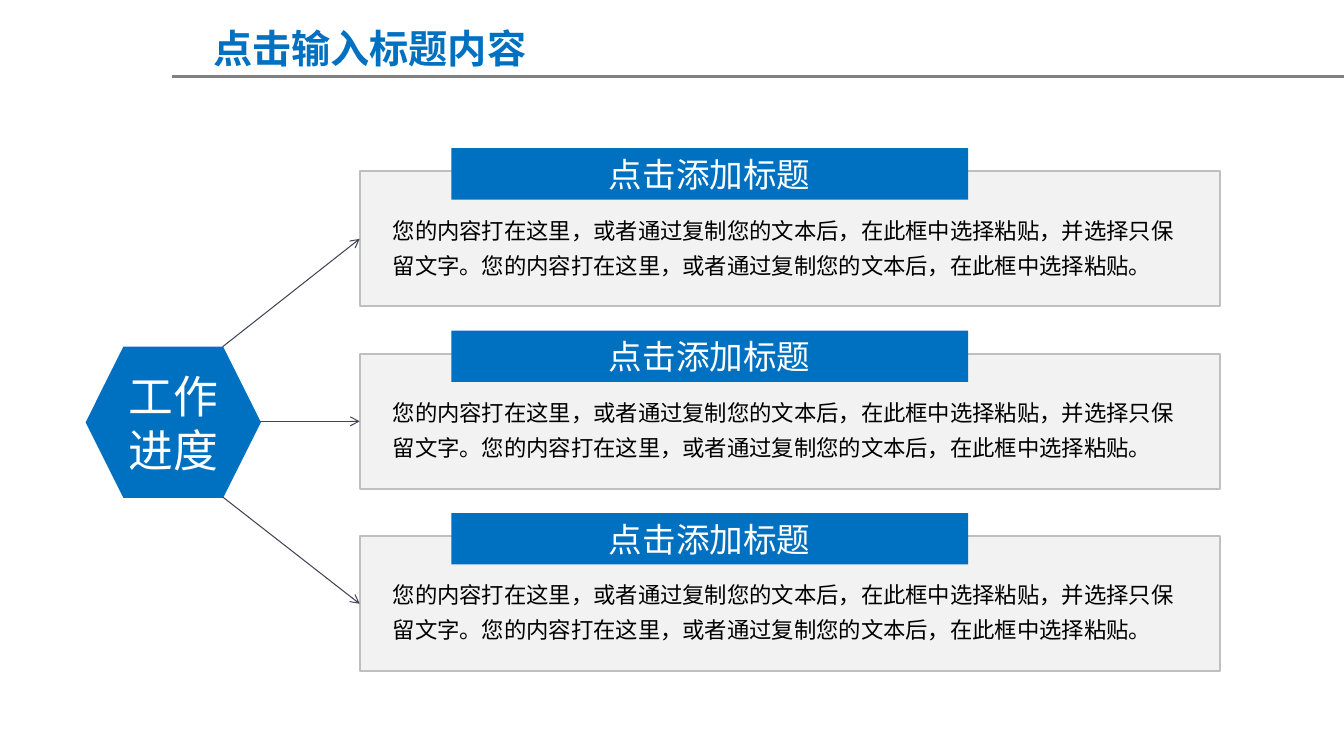
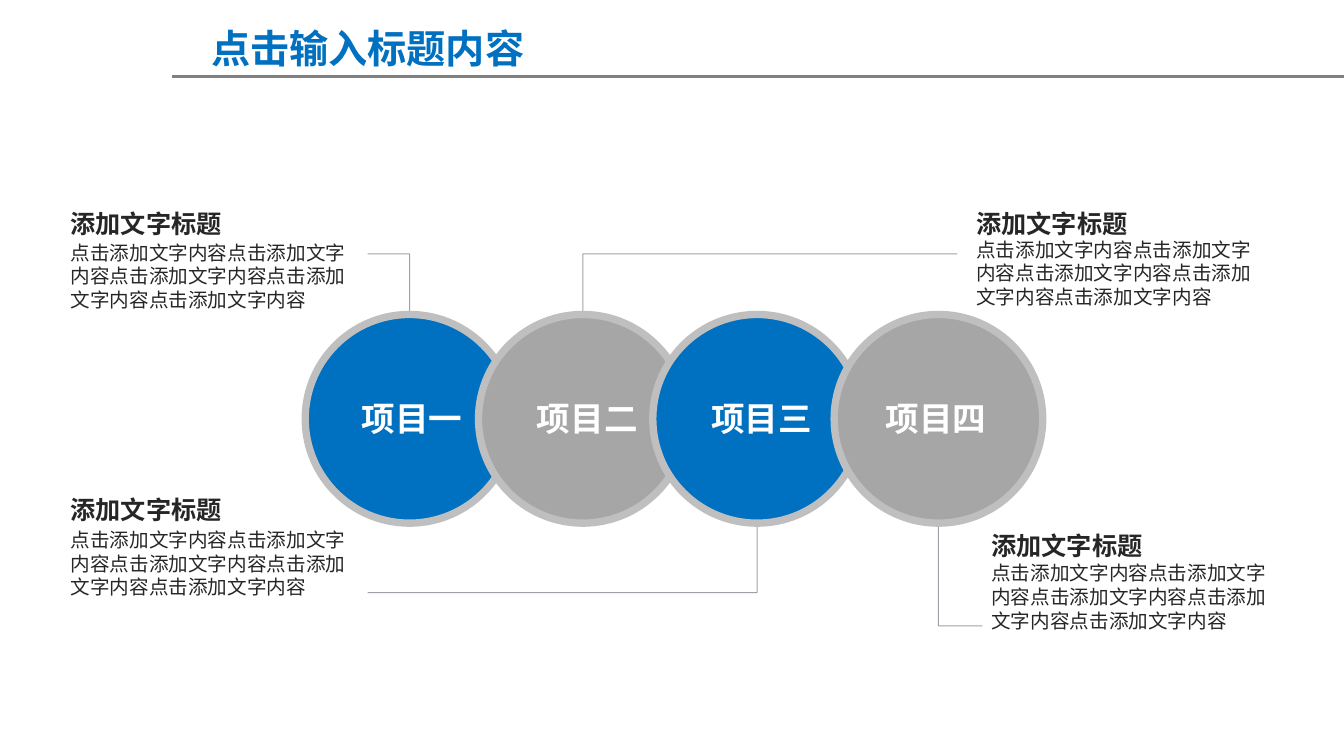
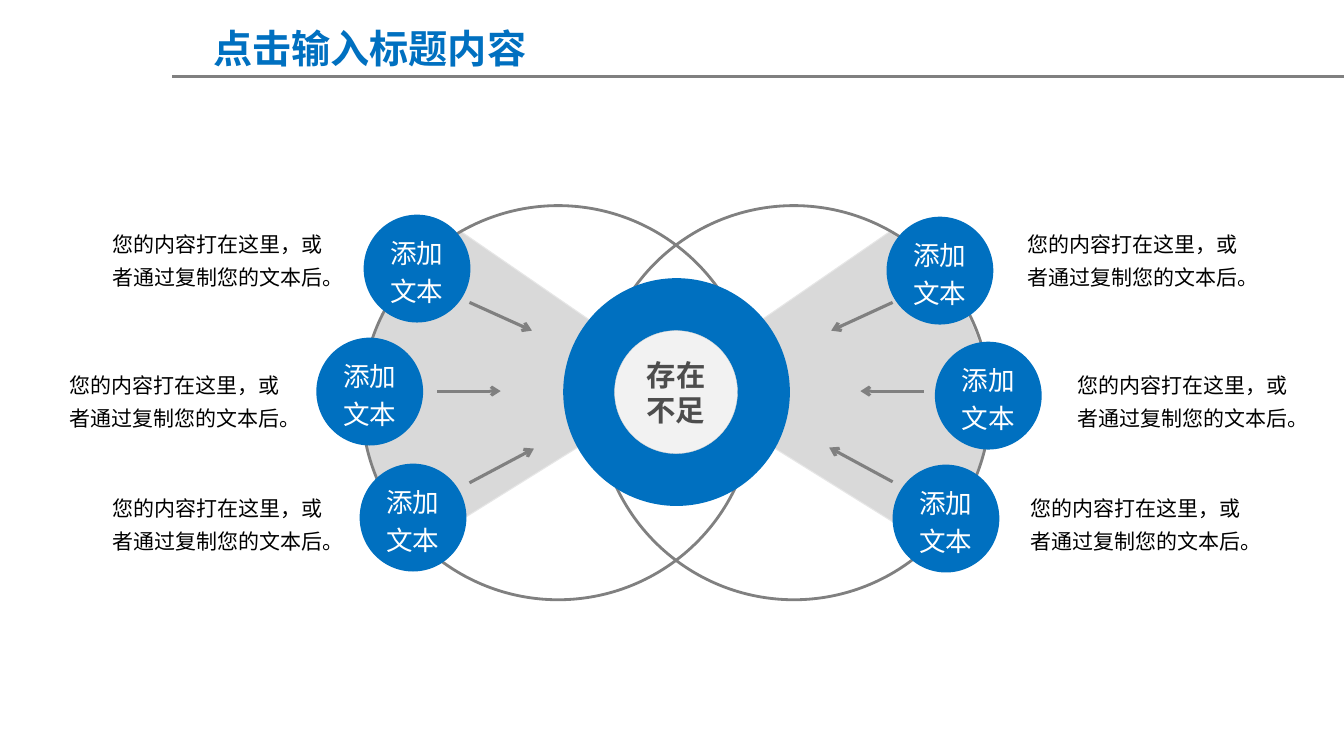
"""Builds three diagram slides: work progress, project chain and shortcomings."""
from lxml import etree
from pptx import Presentation
from pptx import util as u
from pptx.dml.color import RGBColor
from pptx.enum import shapes, text
from pptx.oxml.ns import qn

COLORS = {
    "blue": "0070C0", "white": "FFFFFF", "black": "000000", "ink": "262626",
    "label": "4D4D4D", "rule": "808080", "leader": "414455", "disc": "A6A6A6",
    "border": "BFBFBF", "panel": "F2F2F2", "fan": "D9D9D9", "fan_edge": "E6E6E6",
    "hub_edge": "D7D7D7",
}
CJK_FONT = "Noto Sans CJK SC"
LINE_HEIGHT = 1.2
SHAPE = shapes.MSO_SHAPE
CENTER = text.PP_ALIGN.CENTER
MIDDLE = text.MSO_ANCHOR.MIDDLE
HEADING = {"size": 18, "bold": True, "color": "ink", "spacing": 1.4}
CAPTION = {"size": 14, "color": "ink"}


def bezier(start, first, second, end, steps=12):
    points = []
    for step in range(1, steps + 1):
        t = step / steps
        weights = ((1 - t) ** 3, 3 * t * (1 - t) ** 2, 3 * t * t * (1 - t), t ** 3)
        points.append(tuple(
            sum(weight * point[axis] for weight, point in zip(weights, (start, first, second, end)))
            for axis in (0, 1)))
    return points


class Deck:
    def __init__(self):
        self.presentation = Presentation()
        self.presentation.slide_width = u.Inches(13.34)
        self.presentation.slide_height = u.Inches(7.5)
        self.slide = None

    def add_slide(self, title, title_left=1.87):
        self.slide = self.presentation.slides.add_slide(self.presentation.slide_layouts[6])
        self.line((1.71, 0.76), (13.34, 0.76), "rule", 2)
        self.text(title, (title_left, 0.19, 3.6, 0.57), size=28, bold=True,
                  color="blue", align=CENTER)

    def paint(self, shape, fill, line, width):
        shape.shadow.inherit = False
        if fill:
            shape.fill.solid()
            shape.fill.fore_color.rgb = RGBColor.from_string(COLORS[fill])
        else:
            shape.fill.background()
        if line:
            shape.line.color.rgb = RGBColor.from_string(COLORS[line])
            shape.line.width = u.Pt(width)
        else:
            shape.line.fill.background()

    def set_text(self, shape, content, size, color, bold=False, font=CJK_FONT,
                 align=None, anchor=text.MSO_ANCHOR.TOP, spacing=1, insets=(0.1, 0.05)):
        frame = shape.text_frame
        horizontal, vertical = (u.Inches(inset) for inset in insets)
        frame_format = {
            "word_wrap": True, "vertical_anchor": anchor,
            "margin_left": horizontal, "margin_right": horizontal,
            "margin_top": vertical, "margin_bottom": vertical,
        }
        paragraph = frame.paragraphs[0]
        run = paragraph.add_run()
        run.text = content
        paragraph_format = {"alignment": align, "line_spacing": u.Pt(round(size * LINE_HEIGHT * spacing, 1))}
        font_format = {"name": font, "size": u.Pt(size), "bold": bold}
        for target, values in ((frame, frame_format), (paragraph, paragraph_format),
                               (run.font, font_format)):
            for name, value in values.items():
                setattr(target, name, value)
        run.font.color.rgb = RGBColor.from_string(COLORS[color])
        etree.SubElement(run._r.get_or_add_rPr(), qn("a:ea"), typeface=CJK_FONT)

    def shape(self, kind, box, fill=None, line=None, width=1, content=None, **style):
        shape = self.slide.shapes.add_shape(kind, *map(u.Inches, box))
        self.paint(shape, fill, line, width)
        if content:
            self.set_text(shape, content, align=CENTER, anchor=MIDDLE, **style)
        return shape

    def text(self, content, box, **style):
        self.set_text(self.slide.shapes.add_textbox(*map(u.Inches, box)), content, **style)

    def line(self, start, end, color, width, arrow=False, opacity=None):
        connector = self.slide.shapes.add_connector(
            shapes.MSO_CONNECTOR.STRAIGHT, *map(u.Inches, (*start, *end)))
        connector.line.color.rgb = RGBColor.from_string(COLORS[color])
        connector.line.width = u.Pt(width)
        properties = connector._element.spPr
        stroke = properties.find(qn("a:ln"))
        if opacity:
            solid_color = stroke.find(".//" + qn("a:srgbClr"))
            etree.SubElement(solid_color, qn("a:alpha"), val=str(opacity * 1000))
        if arrow:
            etree.SubElement(stroke, qn("a:tailEnd"), type="arrow")
        etree.SubElement(properties, qn("a:effectLst"))
        return connector

    def outline(self, points, fill, line, width):
        scaled = [(u.Inches(x), u.Inches(y)) for x, y in points]
        builder = self.slide.shapes.build_freeform(*scaled[0])
        builder.add_line_segments(scaled[1:], close=True)
        self.paint(builder.convert_to_shape(), fill, line, width)


def add_progress(deck):
    deck.add_slide("点击输入标题内容")
    body = ("您的内容打在这里，或者通过复制您的文本后，在此框中选择粘贴，并选择只保留文字。"
            "您的内容打在这里，或者通过复制您的文本后，在此框中选择粘贴。")
    deck.shape(SHAPE.HEXAGON, (0.85, 3.44, 1.74, 1.5), "blue",
               content="工作进度", size=32, color="white")
    for row, start in enumerate(((2.21, 3.44), (2.58, 4.18), (2.21, 4.93))):
        top = 1.7 + 1.81 * row
        card = deck.shape(SHAPE.RECTANGLE, (3.57, top, 8.54, 1.34), "panel", "border", 1.5)
        deck.shape(SHAPE.RECTANGLE, (4.48, top - 0.23, 5.13, 0.51), "blue",
                   content="点击添加标题", size=24, color="white")
        deck.text(body, (3.8, top + 0.32, 8, 0.8), size=16, color="black", spacing=1.3)
        arrow = deck.line(start, (3.57, top + 0.67), "leader", 0.75, arrow=True)
        arrow.end_connect(card, 1)


def add_projects(deck):
    deck.add_slide("点击输入标题内容", 1.85)
    insets = (0.09, 0.05)
    for left, top, gap in ((0.61, 1.9, 0.44), (0.61, 4.74, 0.45),
                           (9.6, 1.9, 0.41), (9.75, 5.09, 0.43)):
        deck.text("添加文字标题", (left, top, 3.05, 0.43), insets=insets, **HEADING)
        deck.text("点击添加文字内容" * 5, (left, top + gap, 3.05, 1.26), insets=insets, **CAPTION)
    projects = (
        ("项目一", 3.03, 0.47, "blue", 3.12, (3.65, 2.52)),
        ("项目二", 4.75, 0.49, "disc", 3.12, (9.5, 2.52)),
        ("项目三", 6.48, 0.49, "blue", 5.19, (3.65, 5.88)),
        ("项目四", 8.28, 0.42, "disc", 5.19, (9.75, 6.21)),
    )
    for name, left, indent, fill, edge, end in projects:
        center = left + 2.07 / 2
        corner = (center, end[1])
        deck.line((center, edge), corner, "leader", 0.75, opacity=50)
        deck.line(corner, end, "leader", 0.75, opacity=50)
        deck.shape(SHAPE.OVAL, (left, 3.12, 2.07, 2.07), fill, "border", 5.25)
        deck.text(name, (left + indent, 3.9, 1.34, 0.62), size=24, bold=True,
                  color="white", insets=insets)


def add_shortcomings(deck):
    deck.add_slide("点击输入标题内容")
    top, bottom, middle = (9.54, 3.01), (9.22, 5.4), (9.82, 3.97)
    fan = [top, *bezier(top, (9.23, 2.59), (9.31, 2.62), (8.83, 2.3)), (6.65, 3.8), bottom,
           *bezier(bottom, (9.85, 4.64), (9.79, 4.37), middle),
           *bezier(middle, (9.8, 3.65), (9.73, 3.3), top)]
    for points in (fan, [(13.41 - x, y) for x, y in fan]):
        deck.outline(points, "fan", "fan_edge", 0.75)
    for left in (3.59, 5.93):
        deck.shape(SHAPE.OVAL, (left, 2.04, 3.9, 3.91), line="rule", width=2)
    arrows = (
        ((4.66, 3), (5.28, 3.28)), ((4.34, 3.88), (4.97, 3.88)), ((4.66, 4.79), (5.3, 4.45)),
        ((8.86, 3), (8.25, 3.28)), ((9.17, 3.88), (8.54, 3.88)), ((8.86, 4.78), (8.23, 4.44)),
    )
    for start, end in arrows:
        deck.line(start, end, "rule", 2.25, arrow=True)
    deck.shape(SHAPE.OVAL, (5.59, 2.76, 2.25, 2.26), "blue")
    deck.shape(SHAPE.OVAL, (6.1, 3.28, 1.22, 1.22), "panel", "hub_edge", 0.25,
               content="存在不足", size=21, bold=True, color="label",
               font="Arial Narrow", insets=(0, 0))
    items = (
        (3.61, 2.13, 1.02, 2.17), (3.14, 3.35, 0.59, 3.57), (3.57, 4.6, 1.02, 4.79),
        (8.8, 2.15, 10.1, 2.17), (9.28, 3.39, 10.6, 3.57), (8.86, 4.61, 10.13, 4.79),
    )
    for disc_left, disc_top, note_left, note_top in items:
        deck.shape(SHAPE.OVAL, (disc_left, disc_top, 1.06, 1.07), "blue",
                   content="添加文本", size=19, color="white", font="Arial", spacing=1.2)
        deck.text("您的内容打在这里，或者通过复制您的文本后。", (note_left, note_top, 2.3, 0.76),
                  size=15, color="black", spacing=1.3)


def main():
    deck = Deck()
    add_progress(deck)
    add_projects(deck)
    add_shortcomings(deck)
    deck.presentation.save("out.pptx")


if __name__ == "__main__":
    main()
